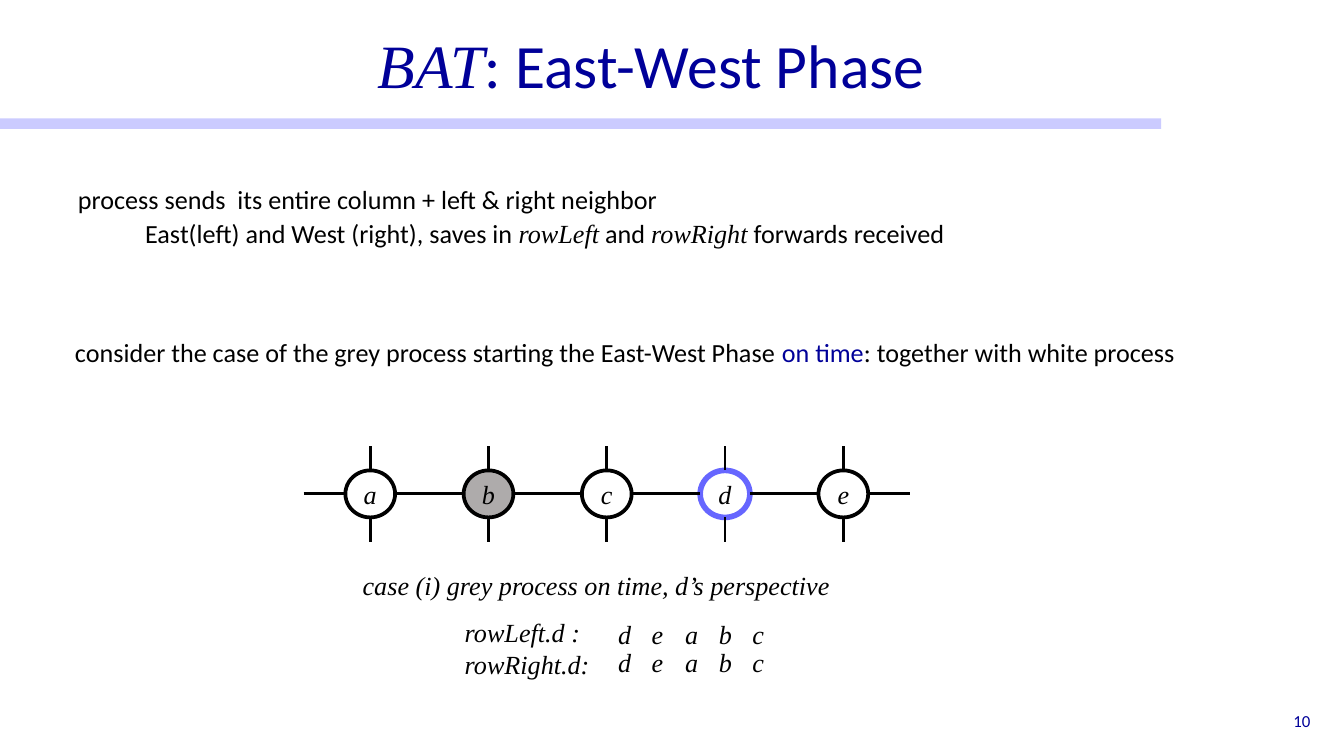
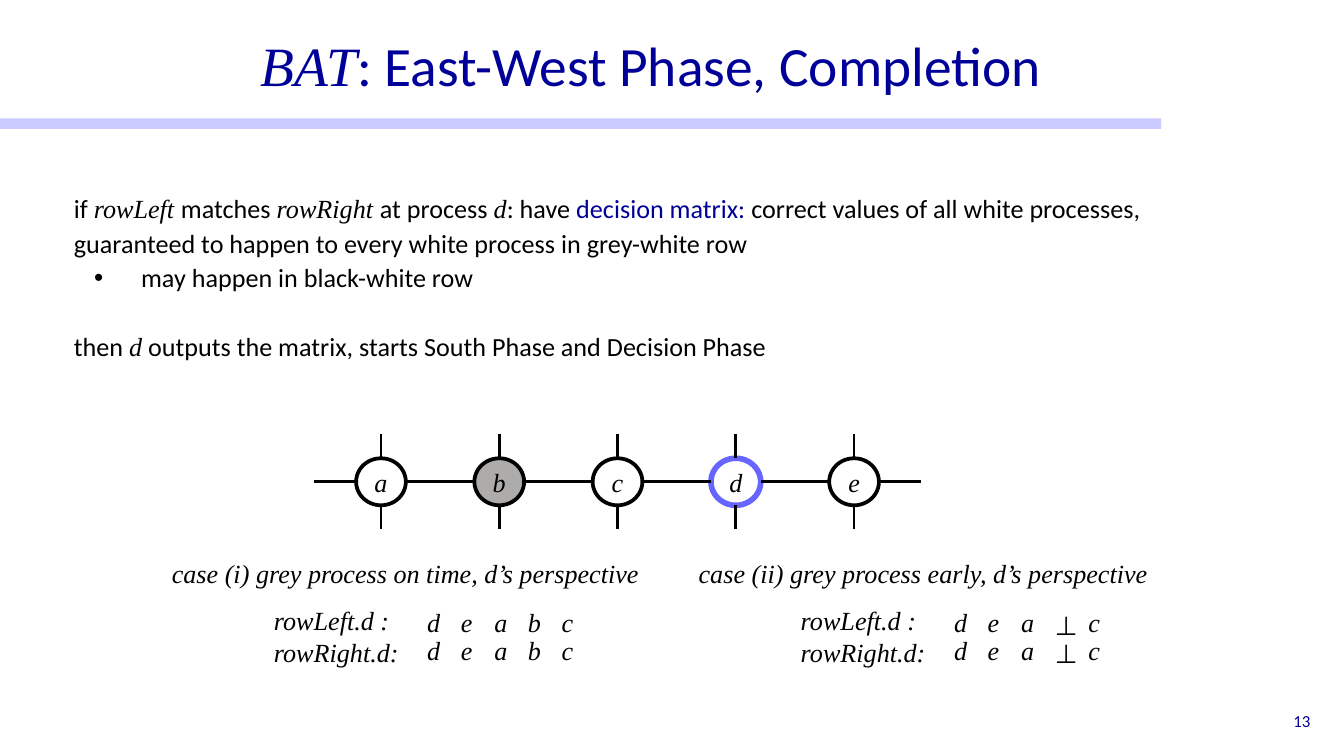
import lxml.etree
import pptx
import pptx.dml.color
import pptx.enum.shapes
import pptx.enum.text
import pptx.oxml.ns
import pptx.util

Inches = pptx.util.Inches
Pt = pptx.util.Pt
ALIGN = pptx.enum.text.PP_ALIGN
ANCHOR = pptx.enum.text.MSO_ANCHOR
SHAPE = pptx.enum.shapes.MSO_SHAPE

SANS, SERIF = "Calibri", "Times New Roman"
BLACK, WHITE, GREY = "000000", "FFFFFF", "AEABAB"
NAVY, BLUE, BAND = "000099", "6666FF", "9999FF"
TIGHT = (0.07, 0.04)
LOOSE = (0.1, 0.1)


def color(text):
    return pptx.dml.color.RGBColor.from_string(text)


def plain(text, ink=BLACK):
    return text, SANS, ink


def math(text, ink=BLACK):
    return text, SERIF, ink


def tag(parent, name, **attrs):
    return lxml.etree.SubElement(parent, pptx.oxml.ns.qn(name), attrs)


def write(para, runs, size=14, align=ALIGN.LEFT, space=1):
    para.alignment = align
    para.line_spacing = space
    for text, face, ink in runs:
        run = para.add_run()
        run.text = text
        font = run.font
        font.name, font.size, font.italic = face, Pt(size), face == SERIF
        font.color.rgb = color(ink)


def frame(shape, inset, anchor):
    body = shape.text_frame
    body.word_wrap = True
    body.vertical_anchor = anchor
    body.margin_left = body.margin_right = Inches(inset[0])
    body.margin_top = body.margin_bottom = Inches(inset[1])
    return body


def label(slide, box, lines, inset=LOOSE, anchor=ANCHOR.TOP, **style):
    shape = slide.shapes.add_textbox(*map(Inches, box))
    body = frame(shape, inset, anchor)
    for i, runs in enumerate(lines):
        para = body.add_paragraph() if i else body.paragraphs[0]
        write(para, runs, **style)
    return body.paragraphs


def indent(para, left, first, bullet=None):
    props = para._p.get_or_add_pPr()
    props.set("marL", str(Inches(left)))
    props.set("indent", str(Inches(first)))
    if bullet:
        tag(props, "a:buFont", typeface="Arial")
        tag(props, "a:buChar", char=bullet)


def line(slide, x1, y1, x2, y2):
    wire = slide.shapes.add_connector(
        pptx.enum.shapes.MSO_CONNECTOR.STRAIGHT, *map(Inches, (x1, y1, x2, y2)))
    wire.line.color.rgb = color(BLACK)
    wire.line.width = Pt(1.5)
    tag(wire._element.spPr, "a:effectLst")


def base(deck, topic, size, page):
    slide = deck.slides.add_slide(deck.slide_layouts[6])
    band = slide.shapes.add_shape(SHAPE.RECTANGLE, *map(Inches, (0, 0.88, 8.64, 0.08)))
    band.shadow.inherit = False
    band.fill.solid()
    band.fill.fore_color.rgb = color(BAND)
    band.line.fill.background()
    tint = band._element.spPr.find(".//" + pptx.oxml.ns.qn("a:srgbClr"))
    tag(tint, "a:alpha", val="50000")
    label(slide, (1.76, 0.14, 6.17, 0.74), [[math("BAT", NAVY), plain(topic, NAVY)]],
          TIGHT, ANCHOR.MIDDLE, size=size, align=ALIGN.CENTER, space=0.9)
    label(slide, (7.57, 5.21, 2.25, 0.3), [[plain(page, NAVY)]],
          TIGHT, ANCHOR.MIDDLE, size=9, align=ALIGN.RIGHT)
    return slide


def node(slide, box, name):
    disc = slide.shapes.add_shape(SHAPE.OVAL, *map(Inches, box))
    disc.shadow.inherit = False
    disc.fill.solid()
    disc.fill.fore_color.rgb = color(GREY if name == "b" else WHITE)
    disc.line.color.rgb = color(BLUE if name == "d" else BLACK)
    disc.line.width = Pt(3 if name == "d" else 2)
    body = frame(disc, TIGHT, ANCHOR.MIDDLE)
    write(body.paragraphs[0], [math(name)], align=ALIGN.CENTER)


def chain(slide, left, top):
    wide, high, step, stub, stem = 0.37, 0.35, 0.88, 0.31, 0.18
    names = "abcde"
    mid = top + stem + high / 2
    low = top + stem + high
    spots = [left + stub + step * i for i in range(len(names))]
    for x, name in zip(spots, names):
        node(slide, (x, top + stem, wide, high), name)
    starts = [left] + [x + wide for x in spots]
    ends = spots + [spots[-1] + wide + stub]
    for start, end in zip(starts, ends):
        line(slide, start, mid, end, mid)
    for x in spots:
        hub = x + wide / 2
        line(slide, hub, top, hub, top + stem)
        line(slide, hub, low, hub, low + stem)


def case(slide, left, top, title, values):
    label(slide, (left, top, 3.79, 0.44), [[math(title)]])
    label(slide, (left + 0.76, top + 0.35, 1.2, 0.67),
          [[math("rowLeft.d :")], [math("rowRight.d:")]])
    for row in range(2):
        for col, value in enumerate(values):
            sign = value == "⊥"
            box = (left + 1.9 + 0.25 * col, top + 0.36 + 0.21 * row, 0.35, 0.44)
            label(slide, box, [[plain(value) if sign else math(value)]],
                  space=1.1 if sign else 1)


def phase(deck):
    slide = base(deck, ": East-West Phase", 33, "10")
    paras = label(slide, (0.51, 1.3, 7.11, 0.63), [
        [plain("process sends  its entire column + left & right neighbor")],
        [plain("East(left) and West (right), saves in "), math("rowLeft"),
         plain(" and "), math("rowRight"), plain(" forwards received")],
    ], TIGHT, space=1.1)
    indent(paras[1], 0, 0.5)
    label(slide, (0.46, 2.38, 8.84, 0.44), [
        [plain("consider the case of the grey process starting the East-West Phase "),
         plain("on time", NAVY), plain(": together with white process")],
    ], space=1.1)
    chain(slide, 2.26, 3.32)
    case(slide, 2.6, 4.14, "case (i) grey process on time, d’s perspective", "deabc")


def finish(deck):
    slide = base(deck, ": East-West Phase, Completion", 29.7, "13")
    paras = label(slide, (0.48, 1.37, 8.84, 1.67), [
        [plain("if "), math("rowLeft "), plain("matches "), math("rowRight "),
         plain("at process "), math("d"), plain(": have "),
         plain("decision matrix: ", NAVY),
         plain("correct values of all white processes,  guaranteed to happen "
               "to every white process in grey-white row")],
        [plain("may happen in black-white row")],
        [plain("then "), math("d"),
         plain(" outputs the matrix, starts South Phase and Decision Phase")],
    ], TIGHT, space=1.1)
    indent(paras[1], 0.5, -0.35, "•")
    paras[2].space_before = Pt(18.5)
    chain(slide, 2.34, 3.23)
    case(slide, 1.18, 4.05, "case (i) grey process on time, d’s perspective", "deabc")
    case(slide, 5.1, 4.05, "case (ii) grey process early, d’s perspective", "dea⊥c")


def main():
    deck = pptx.Presentation()
    deck.slide_width = Inches(10)
    deck.slide_height = deck.slide_width * 9 // 16
    phase(deck)
    finish(deck)
    deck.save("out.pptx")


if __name__ == "__main__":
    main()
